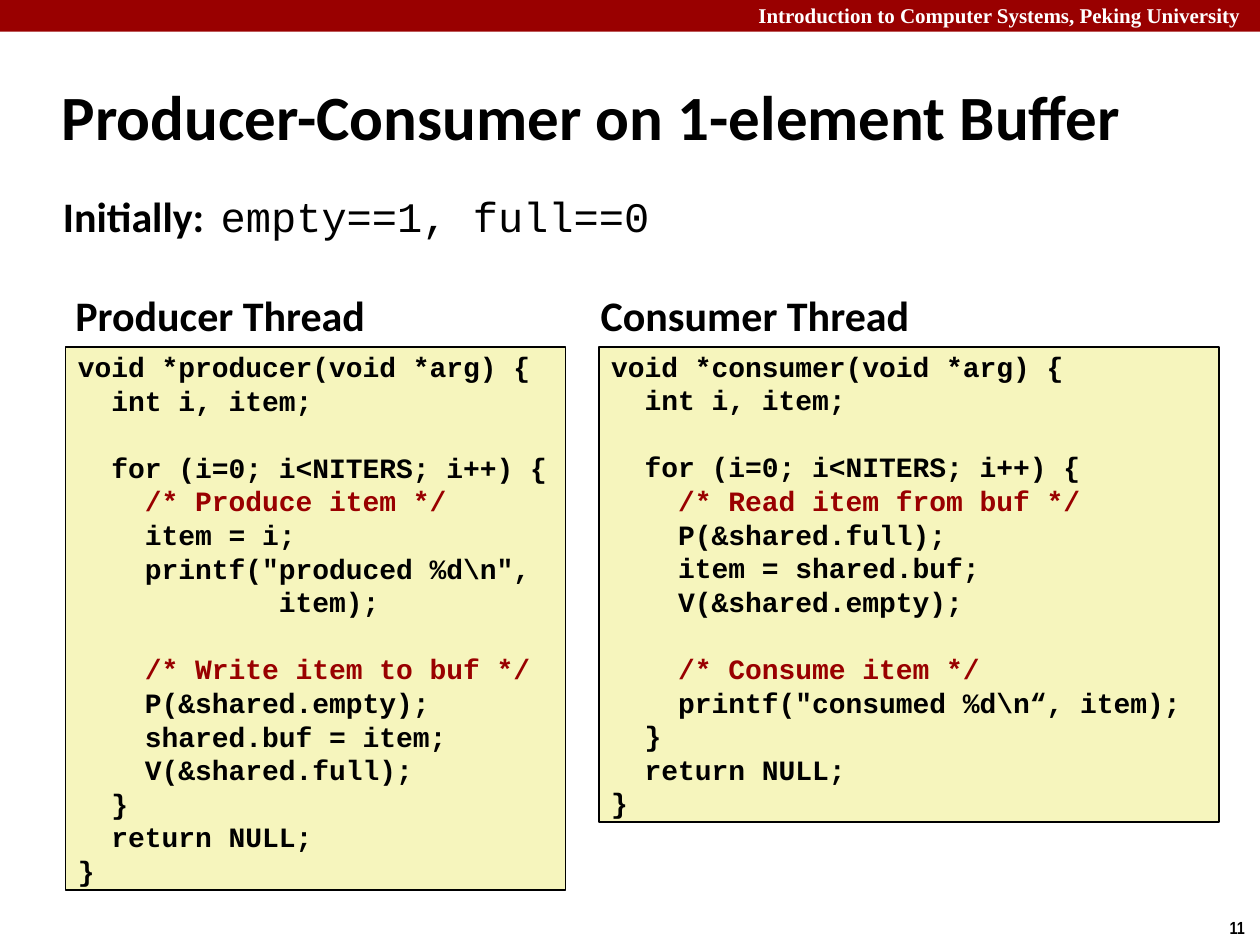
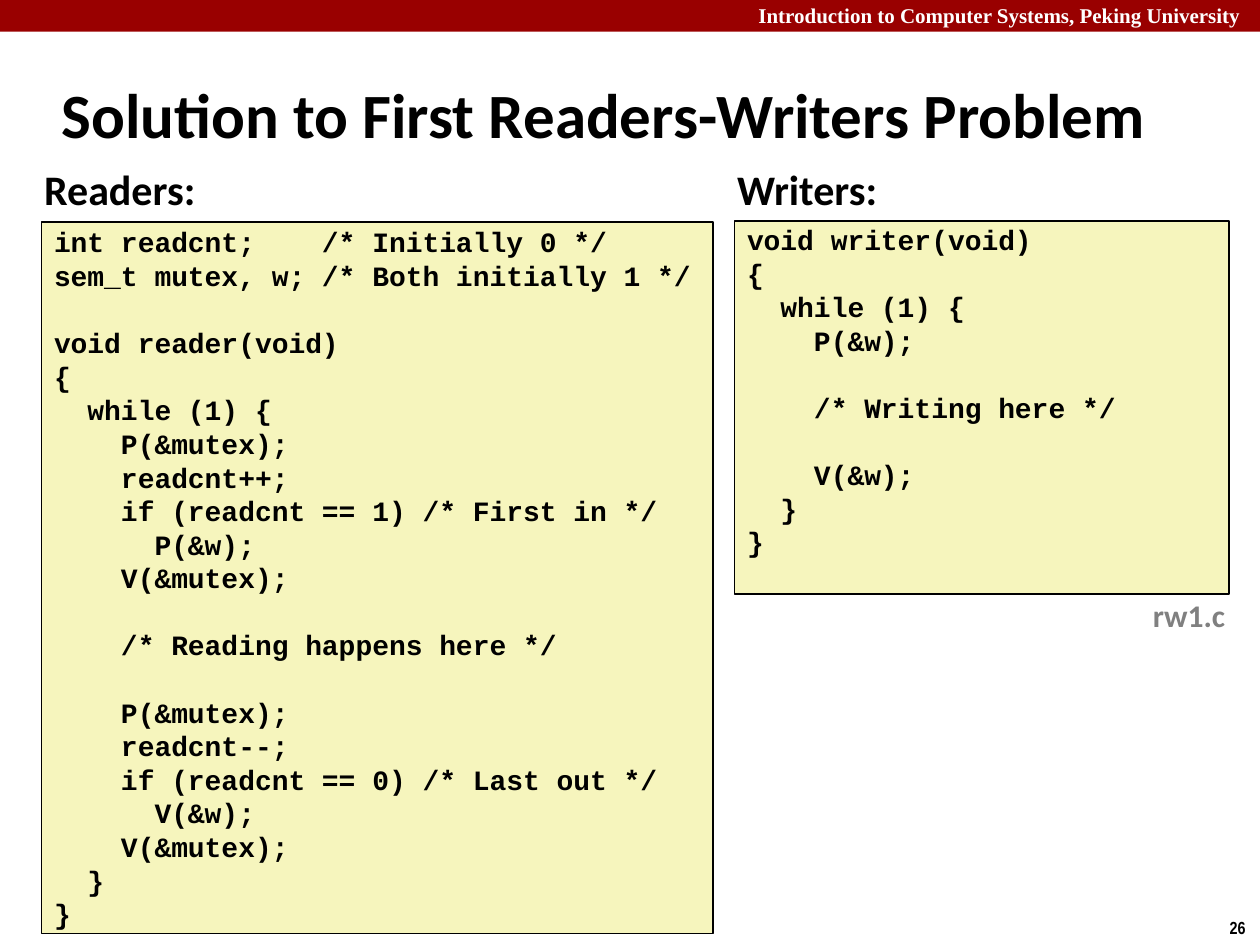
import dataclasses

import pptx
import pptx.dml.color
import pptx.enum.shapes
import pptx.enum.text
import pptx.util
from lxml import etree

Cm = pptx.util.Cm
Pt = pptx.util.Pt
RGB = pptx.dml.color.RGBColor.from_string
ANCHOR = pptx.enum.text.MSO_ANCHOR
RECTANGLE = pptx.enum.shapes.MSO_SHAPE.RECTANGLE


@dataclasses.dataclass(frozen=True)
class Theme:
    band: str = "990000"
    comment: str = "990000"
    paper: str = "F6F5BD"
    ink: str = "000000"
    white: str = "FFFFFF"
    gray: str = "808080"
    body: str = "Calibri"
    mono: str = "Courier New"
    course: str = "Times New Roman"
    number: str = "Arial Narrow"
    title_size: int = 36
    heading_size: int = 24
    file_size: int = 18
    code_size: int = 16
    course_size: int = 12
    number_size: int = 10
    code_line: float = 19.2


theme = Theme()

producer_code = r"""void *producer(void *arg) {
  int i, item;

  for (i=0; i<NITERS; i++) {
    /* Produce item */
    item = i;
    printf("produced %d\n",
            item);

    /* Write item to buf */
    P(&shared.empty);
    shared.buf = item;
    V(&shared.full);
  }
  return NULL;
}"""

consumer_code = r"""void *consumer(void *arg) {
  int i, item;

  for (i=0; i<NITERS; i++) {
    /* Read item from buf */
    P(&shared.full);
    item = shared.buf;
    V(&shared.empty);

    /* Consume item */
    printf("consumed %d\n“, item);
  }
  return NULL;
}"""

reader_code = """int readcnt;    /* Initially 0 */
sem_t mutex, w; /* Both initially 1 */

void reader(void)
{
  while (1) {
    P(&mutex);
    readcnt++;
    if (readcnt == 1) /* First in */
      P(&w);
    V(&mutex);

    /* Reading happens here */

    P(&mutex);
    readcnt--;
    if (readcnt == 0) /* Last out */
      V(&w);
    V(&mutex);
  }
}"""

writer_code = """void writer(void)
{
  while (1) {
    P(&w);

    /* Writing here */

    V(&w);
  }
}"""

# Each slide: headings are (text, box); listings are (code, box, space below in points)
slides = [
    dict(
        title="Producer-Consumer on 1-element Buffer", title_box=(0.99, 1.27, 22.94, 2.11),
        number="11", comment_color=theme.comment,
        listings=[(producer_code, (1.32, 6.99, 10.08, 10.95), 0),
                  (consumer_code, (12.07, 6.99, 12.5, 9.58), 0)],
        headings=[("Producer Thread", (1.27, 5.72, 6.4, 1.27)),
                  ("Consumer Thread", (11.86, 5.72, 6.78, 1.27))],
    ),
    dict(
        title="Solution to First Readers-Writers Problem", title_box=(0.99, 1.22, 23.77, 2.11),
        number="26", comment_color=theme.ink,
        listings=[(reader_code, (0.84, 4.47, 13.54, 14.35), 0),
                  (writer_code, (14.81, 4.45, 9.96, 7.52), theme.code_line)],
        headings=[("Readers:", (0.64, 3.18, 3.58, 1.27)),
                  ("Writers:", (14.61, 3.18, 3.35, 1.27))],
    ),
]


def write(paragraph, text, *, size=theme.heading_size, font=theme.body,
          color=theme.ink, bold=True):
    run = paragraph.add_run()
    run.text = text
    run.font.size = Pt(size)
    run.font.name = font
    run.font.bold = bold
    run.font.color.rgb = RGB(color)


def text_line(slide, box, wrap=False):
    frame = slide.shapes.add_textbox(*map(Cm, box)).text_frame
    frame.word_wrap = wrap
    return frame.paragraphs[0]


deck = pptx.Presentation()
deck.slide_width, deck.slide_height = Cm(25.4), Cm(19.05)
title_only = deck.slide_layouts[5]
built = []

for content in slides:
    slide = deck.slides.add_slide(title_only)
    built.append(slide)

    # Course band and page number
    band = slide.shapes.add_shape(RECTANGLE, 0, 0, deck.slide_width, Cm(0.64))
    band.shadow.inherit = False
    band.fill.solid()
    band.fill.fore_color.rgb = RGB(theme.band)
    band.line.fill.background()
    write(text_line(slide, (15.04, -0.08, 10.54, 0.76), wrap=True),
          "Introduction to Computer Systems, Peking University",
          size=theme.course_size, font=theme.course, color=theme.white)
    write(text_line(slide, (24.54, 18.36, 0.86, 0.69)), content["number"],
          size=theme.number_size, font=theme.number)

    # Title
    title = slide.shapes.title
    title.left, title.top, title.width, title.height = map(Cm, content["title_box"])
    title.text_frame.auto_size = pptx.enum.text.MSO_AUTO_SIZE.NONE
    title.text_frame.vertical_anchor = ANCHOR.MIDDLE
    heading = title.text_frame.paragraphs[0]
    heading.alignment = pptx.enum.text.PP_ALIGN.LEFT
    write(heading, content["title"], size=theme.title_size)

    # Code listings; an empty code line becomes space before the next line
    for code, box, space_below in content["listings"]:
        listing = slide.shapes.add_shape(RECTANGLE, *map(Cm, box))
        listing.shadow.inherit = False
        listing.fill.solid()
        listing.fill.fore_color.rgb = RGB(theme.paper)
        listing.line.color.rgb = RGB(theme.ink)
        listing.line.width = Pt(1)
        frame = listing.text_frame
        frame.word_wrap = True
        frame.vertical_anchor = ANCHOR.MIDDLE
        frame.margin_left = frame.margin_right = Cm(0.25)
        frame.margin_top, frame.margin_bottom = 0, Pt(space_below)
        previous = None
        for code_line in code.splitlines():
            if code_line:
                line = frame.paragraphs[0] if previous is None else frame.add_paragraph()
                line.alignment = pptx.enum.text.PP_ALIGN.LEFT
                line.line_spacing = Pt(theme.code_line)
                if previous == "":
                    line.space_before = Pt(theme.code_line)
                is_comment = code_line.lstrip().startswith("/*")
                write(line, code_line, size=theme.code_size, font=theme.mono,
                      color=content["comment_color"] if is_comment else theme.ink)
            previous = code_line

    # Headings above the listings
    for text, box in content["headings"]:
        write(text_line(slide, box), text)

buffer_slide, readers_slide = built

# Initial semaphore values, aligned at a tab stop
initial_frame = buffer_slide.shapes.add_textbox(*map(Cm, (1.02, 3.84, 12.5, 1.02))).text_frame
initial_frame.word_wrap = True
initial_frame.vertical_anchor = ANCHOR.MIDDLE
initial_frame.margin_top = initial_frame.margin_bottom = 0
initial = initial_frame.paragraphs[0]
namespace = "{http://schemas.openxmlformats.org/drawingml/2006/main}"
properties = etree.SubElement(initial._p, namespace + "pPr")
tabs = etree.SubElement(properties, namespace + "tabLst")
etree.SubElement(tabs, namespace + "tab", pos=str(Cm(3.18)), algn="l")
write(initial, "Initially:\t")
write(initial, "empty==1, full==0", font=theme.mono, bold=False)

# Source file of the readers-writers code
write(text_line(readers_slide, (22.99, 11.89, 1.98, 1.02)), "rw1.c",
      size=theme.file_size, color=theme.gray)

deck.save("out.pptx")
